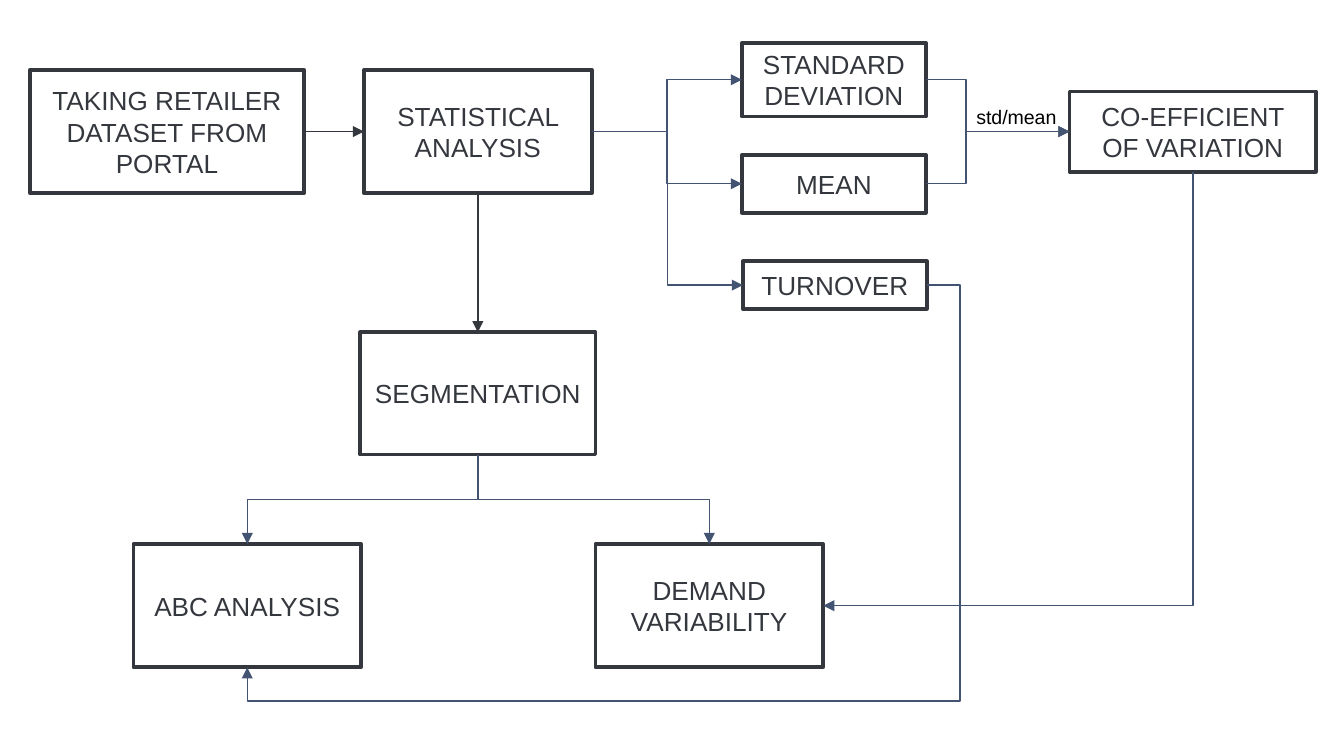
import pptx
import pptx.util
import pptx.dml.color
import pptx.enum.shapes
import pptx.enum.text
import pptx.oxml
import pptx.oxml.ns

Pt = pptx.util.Pt
RGB = pptx.dml.color.RGBColor.from_string
qn = pptx.oxml.ns.qn
COLORS = {"box": "FFFFFF", "ink": "34373D", "route": "435372", "label": "000000"}
TOP, LEFT, BOTTOM, RIGHT = range(4)

deck = pptx.Presentation()
deck.slide_width, deck.slide_height = Pt(720), Pt(405)
slide = deck.slides.add_slide(deck.slide_layouts[6])

# Boxes: text, left, top, width, height
steps = {
    "data": ("TAKING RETAILER DATASET FROM PORTAL", 16, 37.5, 147, 66),
    "stats": ("STATISTICAL ANALYSIS", 195, 37.5, 122, 66),
    "std": ("STANDARD DEVIATION", 397.5, 23, 98.5, 39.5),
    "mean": ("MEAN", 397.5, 83, 98.5, 31),
    "turn": ("TURNOVER", 398, 140, 98.5, 25.5),
    "ratio": ("CO-EFFICIENT OF VARIATION", 573, 49, 132, 43),
    "seg": ("SEGMENTATION", 193, 178, 126, 65.5),
    "abc": ("ABC ANALYSIS", 71.5, 291.5, 122, 66),
    "demand": ("DEMAND VARIABILITY", 319, 291.5, 122, 66),
}
boxes = {}
for key, (text, *frame) in steps.items():
    box = slide.shapes.add_shape(
        pptx.enum.shapes.MSO_SHAPE.RECTANGLE, *map(Pt, frame))
    box.shadow.inherit = False
    box.fill.solid()
    box.fill.fore_color.rgb = RGB(COLORS["box"])
    box.line.color.rgb = RGB(COLORS["ink"])
    box.line.width = Pt(2)
    body = box.text_frame
    body.word_wrap = True
    body.vertical_anchor = pptx.enum.text.MSO_ANCHOR.MIDDLE
    body.text = text
    para = body.paragraphs[0]
    para.alignment = pptx.enum.text.PP_ALIGN.CENTER
    font = para.runs[0].font
    font.name, font.size = "Arial", Pt(14)
    font.color.rgb = RGB(COLORS["ink"])
    boxes[key] = box


def rotate(link):
    """Turn an elbow so that it leaves its first box downwards."""
    left, top, wide, high = link.left, link.top, link.width, link.height
    right = link.end_x > link.begin_x
    link.left, link.top = left + (wide - high) // 2, top + (high - wide) // 2
    link.width, link.height = high, wide
    link.rotation = 270 if right else 90
    link._element.spPr.find(qn("a:xfrm")).set("flipH", str(int(right)))


# Links: first box, side, second box, side, preset, adjustments in 1/100000
links = [
    ("data", RIGHT, "stats", LEFT, "straightConnector1", []),
    ("stats", BOTTOM, "seg", TOP, "straightConnector1", []),
    ("stats", RIGHT, "mean", LEFT, "bentConnector3", [50000]),
    ("stats", RIGHT, "std", LEFT, "bentConnector3", [50000]),
    ("stats", RIGHT, "turn", LEFT, "bentConnector3", [50000]),
    ("mean", RIGHT, "ratio", LEFT, "bentConnector3", [28000]),
    ("std", RIGHT, "ratio", LEFT, "bentConnector3", [28000]),
    ("seg", BOTTOM, "abc", TOP, "bentConnector3", [50000]),
    ("seg", BOTTOM, "demand", TOP, "bentConnector3", [50000]),
    ("turn", RIGHT, "abc", BOTTOM, "bentConnector4", [-4900, 108800]),
    ("ratio", BOTTOM, "demand", RIGHT, "bentConnector2", []),
]
for first, out, second, into, preset, bends in links:
    bent = preset.startswith("bent")
    link = slide.shapes.add_connector(
        pptx.enum.shapes.MSO_CONNECTOR.ELBOW, 0, 0, 0, 0)
    link.begin_connect(boxes[first], out)
    link.end_connect(boxes[second], into)
    if bent and out == BOTTOM:
        rotate(link)
    link.line.color.rgb = RGB(COLORS["route" if bent else "ink"])
    link.line.width = Pt(0.75)
    props = link._element.spPr
    shape = props.find(qn("a:prstGeom"))
    shape.set("prst", preset)
    guides = shape.get_or_add_avLst()
    for num, bend in enumerate(bends, 1):
        guide = pptx.oxml.ns.qn("a:gd")
        node = guides.makeelement(
            guide, {"name": f"adj{num}", "fmla": f"val {bend}"})
        guides.append(node)
    line = props.find(qn("a:ln"))
    line.append(line.makeelement(qn("a:tailEnd"), {"type": "triangle"}))
    props.append(props.makeelement(qn("a:effectLst"), {}))

note = slide.shapes.add_textbox(Pt(516), Pt(52.5), Pt(61), Pt(20))
note.text_frame.word_wrap = True
note.text_frame.text = "std/mean"
font = note.text_frame.paragraphs[0].runs[0].font
font.name, font.size = "Arial", Pt(10.5)
font.color.rgb = RGB(COLORS["label"])

deck.save("out.pptx")
